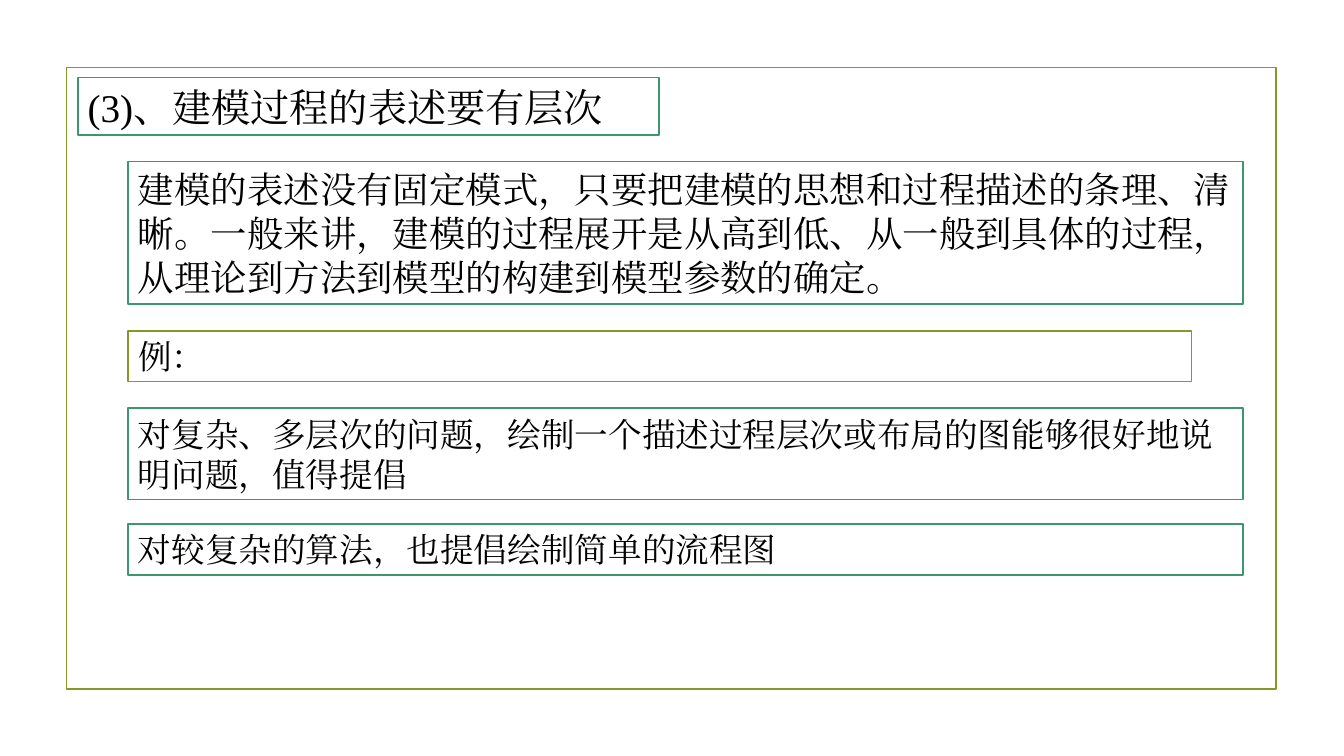
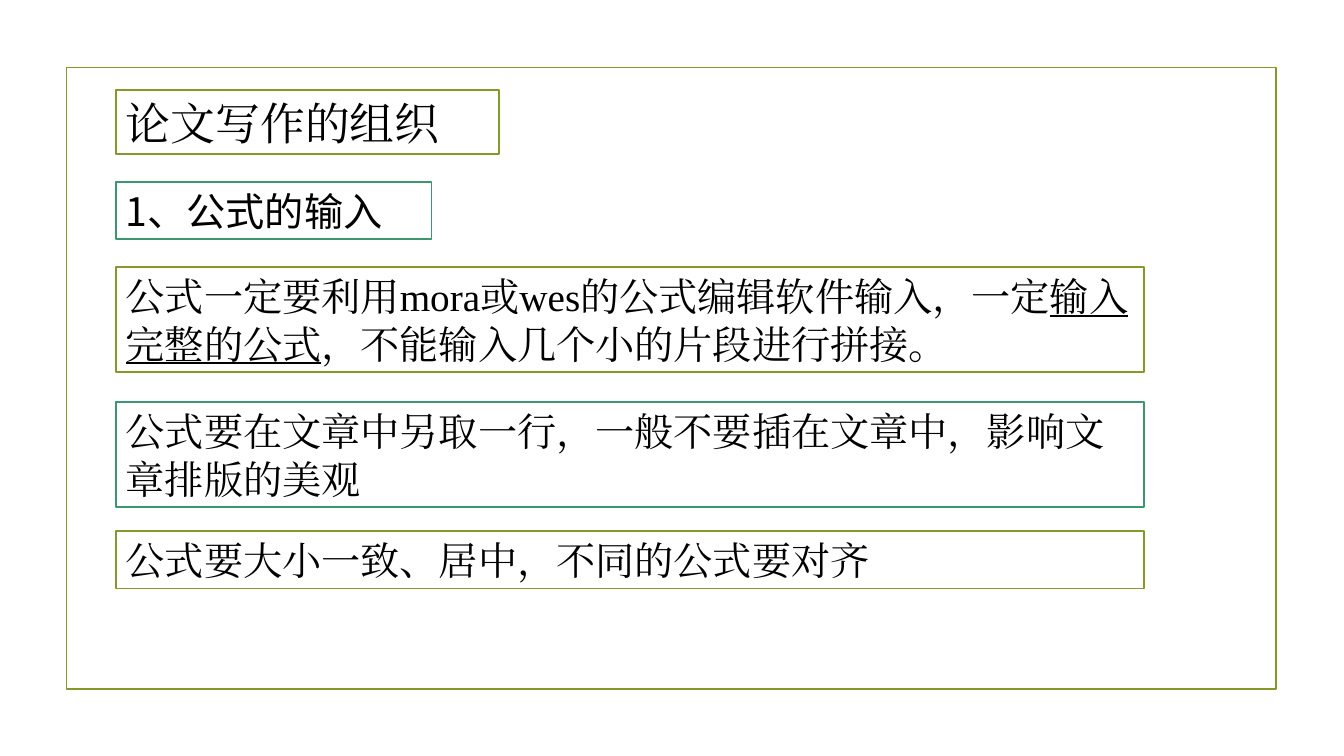
import pptx
import pptx.dml.color
import pptx.enum.lang
import pptx.enum.shapes
import pptx.enum.text
import pptx.oxml
import pptx.oxml.ns
import pptx.util

Pt = pptx.util.Pt
RGBColor = pptx.dml.color.RGBColor

OLIVE = RGBColor(0x83, 0x99, 0x2A)
GREEN = RGBColor(0x3C, 0x97, 0x70)
BLACK = RGBColor(0, 0, 0)
WHITE = RGBColor(255, 255, 255)
SERIF = "Times New Roman"
SANS = "Noto Sans CJK JP"

SLIDE_SIZE = (960, 540)
FRAME = (47.5, 48.2, 864, 444.2)
MARGIN_X, MARGIN_Y = 7.2, 3.6
LINE_HEIGHT = 1.21

# Each box: left, top, width, number of lines, font size, line colour, text runs;
# a run is a plain text or a (text, format) pair.
SLIDES = [
    [
        (55.5, 55.4, 415.5, 1, 28, GREEN, ["(3)、建模过程的表述要有层次"]),
        (91.5, 115.4, 796.3, 3, 26, GREEN, [
            "建模的表述没有固定模式，只要把建模的思想和过程描述的条理、清晰。"
            "一般来讲，建模的过程展开是从高到低、从一般到具体的过程，"
            "从理论到方法到模型的构建到模型参数的确定。"]),
        (91.5, 236.4, 759.6, 1, 24, OLIVE, ["例："]),
        (91.5, 291.6, 796.3, 2, 24, GREEN, [
            "对复杂、多层次的问题，绘制一个描述过程层次或布局的图能够很好地说明问题，值得提倡"]),
        (91.5, 374.4, 796.3, 1, 24, GREEN, ["对较复杂的算法，也提倡绘制简单的流程图"]),
    ],
    [
        (82.8, 64.3, 273.6, 1, 32, OLIVE, ["论文写作的组织"]),
        (82.8, 129.9, 225.4, 1, 28, GREEN, [("1、公式的输入", {"font": SANS})]),
        (82.8, 190.8, 734.4, 2, 28, OLIVE, [
            "公式一定要利用mora或wes的公式编辑软件输入，一定",
            ("输入完整的公式", {"underline": True}),
            "，不能输入几个小的片段进行拼接。"]),
        (82.8, 287.3, 734.4, 2, 28, GREEN, [
            "公式要在文章中另取一行，一般不要插在文章中，影响文章排版的美观"]),
        (82.8, 379.4, 734.4, 1, 28, OLIVE, ["公式要大小一致、居中，不同的公式要对齐"]),
    ],
]


def add_box(slide, left, top, width, height, line, fill=None):
    box = slide.shapes.add_shape(
        pptx.enum.shapes.MSO_SHAPE.RECTANGLE, Pt(left), Pt(top), Pt(width), Pt(height))
    box.shadow.inherit = False
    box.line.color.rgb = line
    box.line.width = Pt(1.25)
    if fill is None:
        box.fill.background()
    else:
        box.fill.solid()
        box.fill.fore_color.rgb = fill
    return box


def add_span(para, text, size, font=SERIF, underline=None):
    span = para.add_run()
    span.text = text
    span.font.size = Pt(size)
    span.font.color.rgb = BLACK
    span.font.underline = underline
    span.font.language_id = pptx.enum.lang.MSO_LANGUAGE_ID.SIMPLIFIED_CHINESE
    span.font.name = font
    east_asian = pptx.oxml.parse_xml(
        f'<a:ea {pptx.oxml.ns.nsdecls("a")} typeface="{font}"/>')
    span.font._element.append(east_asian)


def add_text_box(slide, left, top, width, lines, size, line, runs):
    height = round(lines * size * LINE_HEIGHT + 2 * MARGIN_Y, 2)
    box = add_box(slide, left, top, width, height, line, fill=WHITE)
    frame = box.text_frame
    frame.word_wrap = True
    frame.vertical_anchor = pptx.enum.text.MSO_ANCHOR.TOP
    frame.margin_left = frame.margin_right = Pt(MARGIN_X)
    frame.margin_top = frame.margin_bottom = Pt(MARGIN_Y)
    para = frame.paragraphs[0]
    para.alignment = pptx.enum.text.PP_ALIGN.LEFT
    para.line_spacing = Pt(round(size * LINE_HEIGHT, 1))
    for run in runs:
        text, style = (run, {}) if isinstance(run, str) else run
        add_span(para, text, size, **style)


def main():
    deck = pptx.Presentation()
    deck.slide_width, deck.slide_height = map(Pt, SLIDE_SIZE)
    for boxes in SLIDES:
        slide = deck.slides.add_slide(deck.slide_layouts[6])
        add_box(slide, *FRAME, line=OLIVE)
        for box in boxes:
            add_text_box(slide, *box)
    deck.save("out.pptx")


if __name__ == "__main__":
    main()
